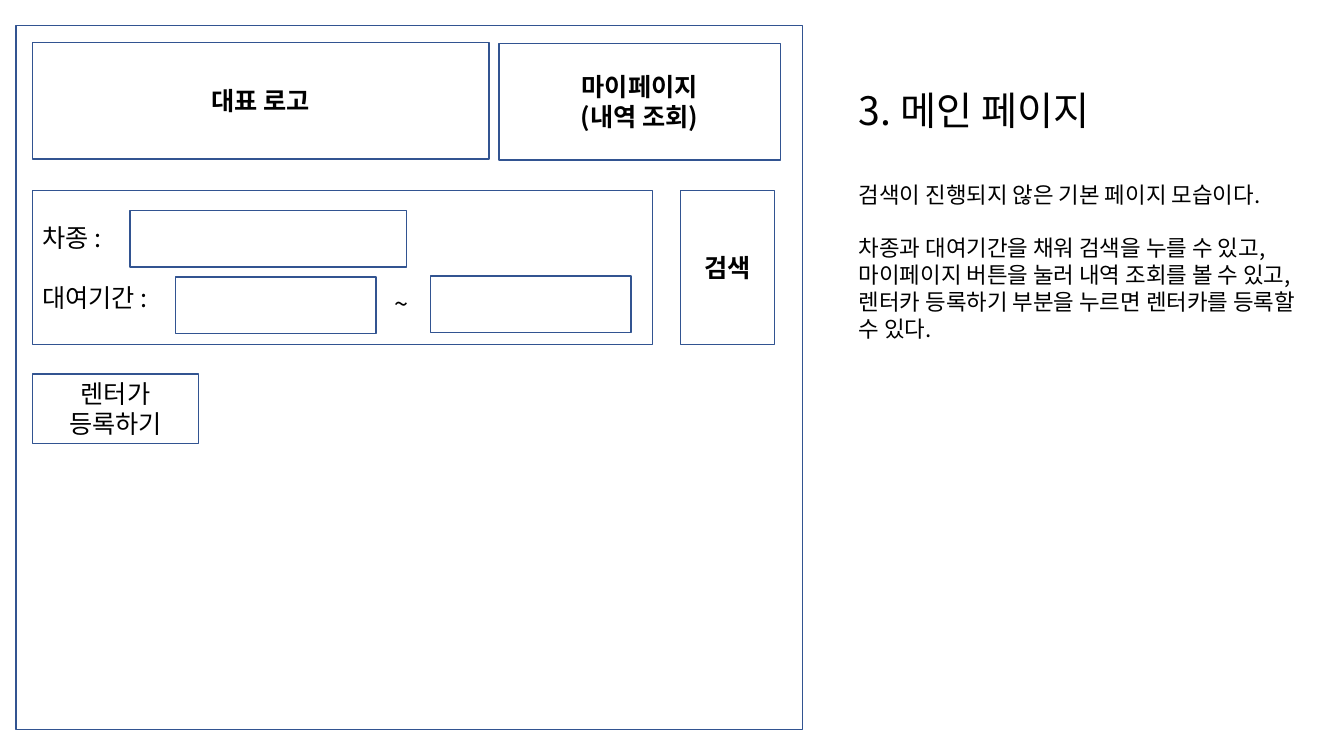
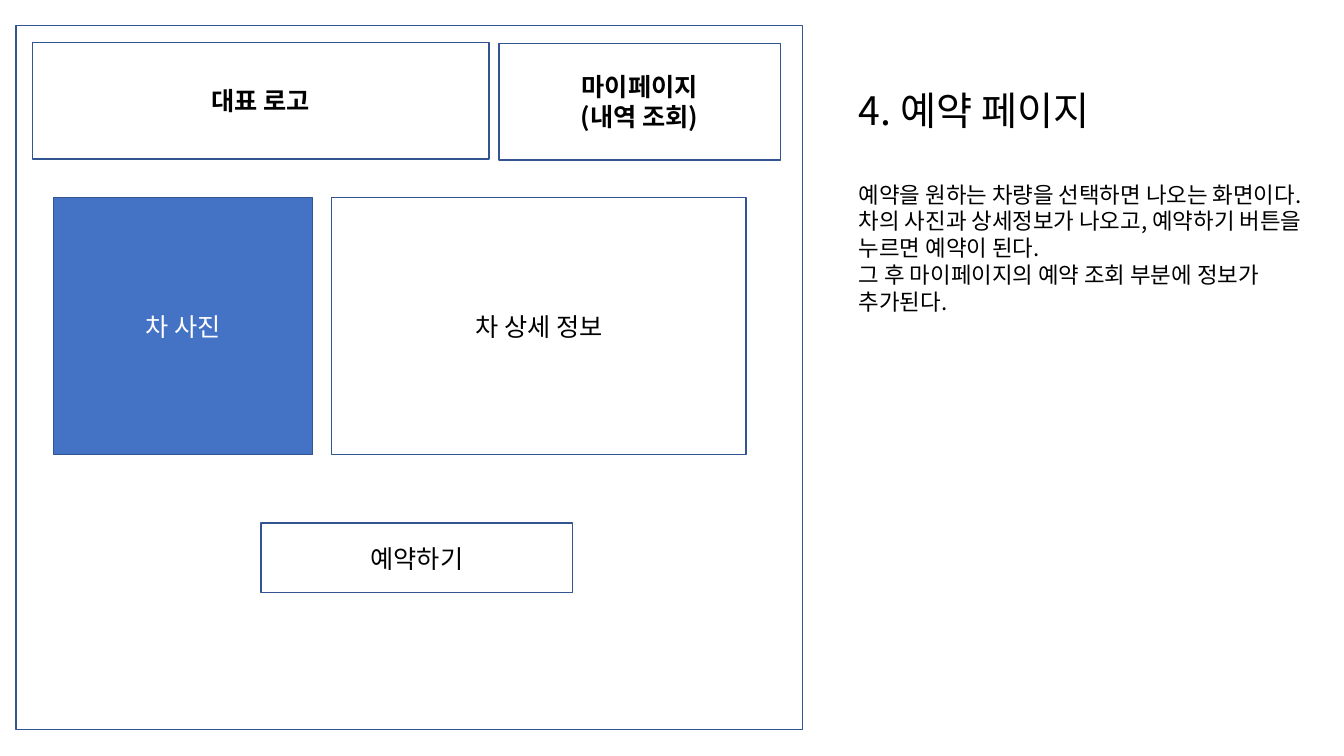
"""Build two wireframe slides of a car rental site, each with its description."""
from dataclasses import dataclass

from lxml.etree import SubElement
from pptx import Presentation
from pptx.dml.color import RGBColor
from pptx.enum.shapes import MSO_SHAPE
from pptx.enum.text import MSO_ANCHOR, PP_ALIGN
from pptx.oxml.ns import qn
from pptx.util import Inches, Pt


@dataclass(frozen=True)
class Theme:
    font: str = "Noto Sans CJK KR"
    ink: RGBColor = RGBColor(0x00, 0x00, 0x00)
    paper: RGBColor = RGBColor(0xFF, 0xFF, 0xFF)
    outline: RGBColor = RGBColor(0x32, 0x54, 0x91)
    accent: RGBColor = RGBColor(0x44, 0x72, 0xC4)
    title: int = 28
    label: int = 18
    body: int = 16
    line_width: int = 1
    line_height: float = 1.2


THEME = Theme()

FRAME = (0.16, 0.25, 7.8, 6.99)
NOTES = (8.42, 0.81, 4.75, 2.93)
TILDE = (3.81, 2.81, 0.38, 0.4)

HEADER = [
    {"at": (0.32, 0.42, 4.53, 1.16), "lines": ["대표 로고"], "bold": True},
    {"at": (4.95, 0.43, 2.79, 1.16), "lines": ["마이페이지", "(내역 조회)"], "bold": True},
]

PAGES = [
    {
        "title": "3. 메인 페이지",
        "notes": [
            ["검색이 진행되지 않은 기본 페이지 모습이다."],
            [
                "차종과 대여기간을 채워 검색을 누를 수 있고,",
                "마이페이지 버튼을 눌러 내역 조회를 볼 수 있고,",
                "렌터카 등록하기 부분을 누르면 렌터카를 등록할 수 있다.",
            ],
        ],
        "boxes": [
            {"at": (0.32, 1.89, 6.15, 1.53), "lines": ["차종 :", "대여기간 :"],
             "align": PP_ALIGN.LEFT, "spaced": True},
            {"at": (6.75, 1.89, 0.93, 1.53), "lines": ["검색"], "bold": True},
            {"at": (1.29, 2.09, 2.74, 0.56)},
            {"at": (1.74, 2.75, 1.99, 0.56)},
            {"at": (4.27, 2.74, 1.99, 0.56)},
            {"at": (0.32, 3.71, 1.65, 0.69), "lines": ["렌터가", "등록하기"]},
        ],
        "separator": "~",
    },
    {
        "title": "4. 예약 페이지",
        "notes": [
            [
                "예약을 원하는 차량을 선택하면 나오는 화면이다.",
                "차의 사진과 상세정보가 나오고, 예약하기 버튼을 누르면 예약이 된다.",
                "그 후 마이페이지의 예약 조회 부분에 정보가 추가된다.",
            ],
        ],
        "boxes": [
            {"at": (3.29, 1.96, 4.11, 2.55), "lines": ["차 상세 정보"]},
            {"at": (0.53, 1.96, 2.57, 2.55), "lines": ["차 사진"],
             "fill": THEME.accent, "color": THEME.paper},
            {"at": (2.59, 5.19, 3.09, 0.69), "lines": ["예약하기"]},
        ],
    },
]


def write_line(frame, index, text, size, color=THEME.ink, bold=False,
               align=PP_ALIGN.LEFT, gap=0):
    para = frame.paragraphs[0] if index == 0 else frame.add_paragraph()
    para.alignment = align
    para.space_before = Pt(gap)
    span = para.add_run()
    span.text = text
    font = span.font
    font.name, font.size, font.bold = THEME.font, Pt(size), bold
    font.color.rgb = color
    SubElement(font._element, qn("a:ea")).set("typeface", THEME.font)


def add_box(page, at, lines=(), bold=False, align=PP_ALIGN.CENTER,
            fill=None, color=THEME.ink, spaced=False):
    box = page.shapes.add_shape(MSO_SHAPE.RECTANGLE, *map(Inches, at))
    box.shadow.inherit = False
    box.line.color.rgb = THEME.outline
    box.line.width = Pt(THEME.line_width)
    if fill is None:
        box.fill.background()
    else:
        box.fill.solid()
        box.fill.fore_color.rgb = fill
    frame = box.text_frame
    frame.word_wrap = True
    frame.vertical_anchor = MSO_ANCHOR.MIDDLE
    for index, text in enumerate(lines):
        gap = THEME.label * THEME.line_height if spaced and index else 0
        write_line(frame, index, text, THEME.label, color, bold, align, gap)


def add_text_frame(page, at, wrap):
    frame = page.shapes.add_textbox(*map(Inches, at)).text_frame
    frame.word_wrap = wrap
    return frame


def add_notes(page, title, groups):
    frame = add_text_frame(page, NOTES, True)
    write_line(frame, 0, title, THEME.title)
    index, previous_size = 1, THEME.title
    for group in groups:
        gap = previous_size * THEME.line_height
        for text in group:
            write_line(frame, index, text, THEME.body, gap=gap)
            index, gap = index + 1, 0
        previous_size = THEME.body


def main():
    deck = Presentation()
    deck.slide_width, deck.slide_height = Inches(13.33), Inches(7.5)
    for content in PAGES:
        page = deck.slides.add_slide(deck.slide_layouts[6])
        add_box(page, FRAME)
        for box in HEADER + content["boxes"]:
            add_box(page, **box)
        if "separator" in content:
            frame = add_text_frame(page, TILDE, False)
            write_line(frame, 0, content["separator"], THEME.label)
        add_notes(page, content["title"], content["notes"])
    deck.save("out.pptx")


if __name__ == "__main__":
    main()
